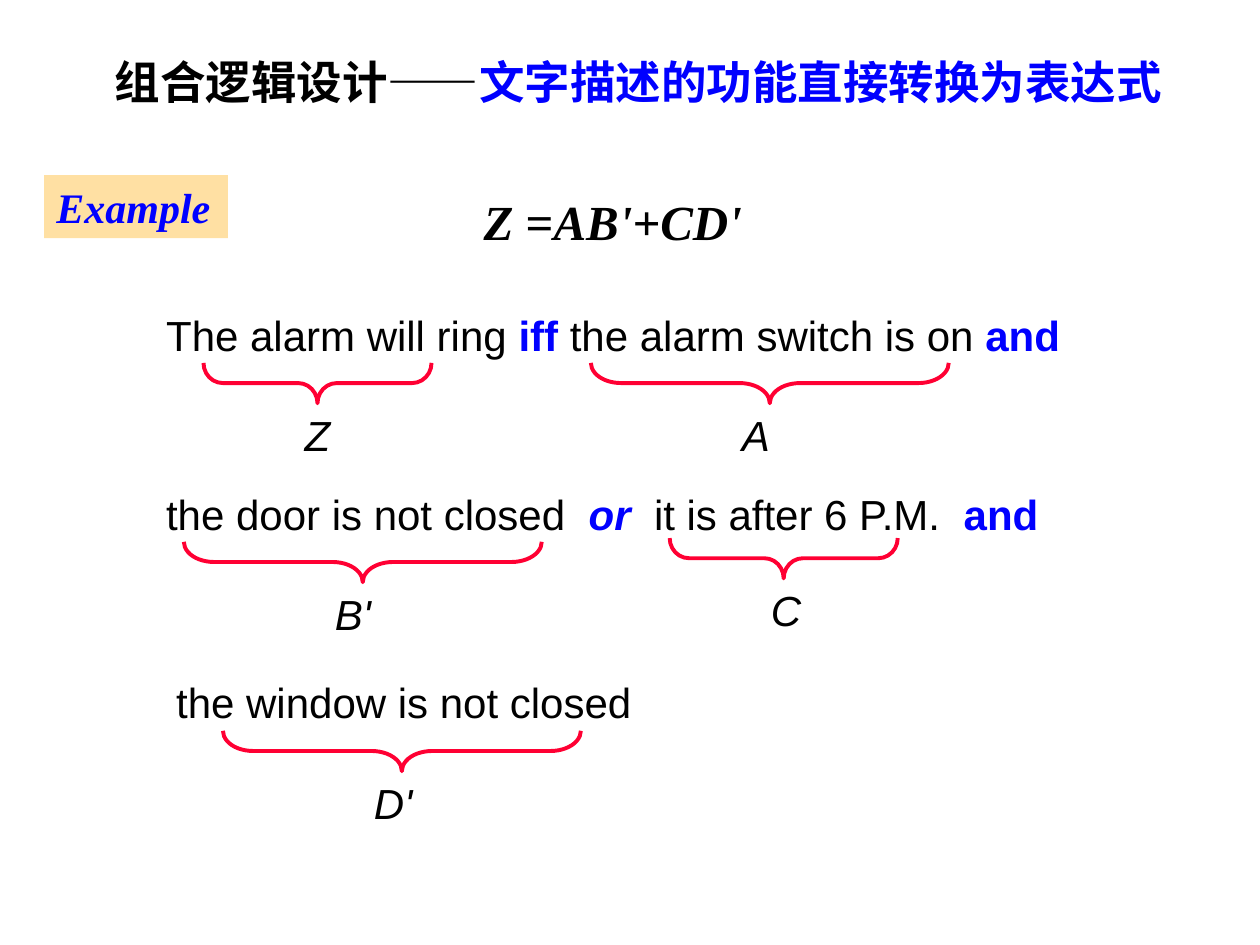
from pptx import Presentation
from pptx.dml.color import RGBColor
from pptx.enum import shapes, text
from pptx.util import Inches, Pt

BLACK, BLUE, RED, SAND = "000000", "0000FF", "FF0033", "FFE0A3"


def rgb(value):
    return RGBColor.from_string(value)


def write(sp, runs, size=24, font="Arial", bold=False, italic=False):
    tf = sp.text_frame
    tf.word_wrap = True
    tf.auto_size = text.MSO_AUTO_SIZE.NONE
    tf.vertical_anchor = text.MSO_ANCHOR.TOP
    p = tf.paragraphs[0]
    p.alignment = text.PP_ALIGN.LEFT
    p.font.name, p.font.size = font, Pt(size)
    for words, color, style in runs:
        r = p.add_run()
        r.text = words
        r.font.color.rgb = rgb(color)
        r.font.bold = bold or "b" in style
        r.font.italic = (italic or "i" in style) and "u" not in style


prs = Presentation()
prs.slide_width, prs.slide_height = Inches(10), Inches(7.5)
s = prs.slides.add_slide(prs.slide_layouts[5])

title = s.shapes.title
title.left, title.top = Inches(0.81), Inches(0.38)
title.width, title.height = Inches(9.46), Inches(0.54)
write(title, [("组合逻辑设计——", BLACK, ""),
              ("文字描述的功能直接转换为表达式", BLUE, "")], size=26, bold=True)

example = s.shapes.add_shape(shapes.MSO_SHAPE.RECTANGLE, Inches(0.35), Inches(1.39),
                             Inches(1.46), Inches(0.5))
example.shadow.inherit = False
example.fill.solid()
example.fill.fore_color.rgb = rgb(SAND)
example.line.fill.background()
write(example, [("Example", BLUE, "")], font="Times New Roman", bold=True, italic=True)

formula = s.shapes.add_textbox(Inches(3.74), Inches(1.47), Inches(2.6), Inches(0.57))
write(formula, [("Z ", BLACK, ""), ("=", BLACK, "u"), ("AB'+CD'", BLACK, "")],
      size=28, font="Times New Roman", bold=True, italic=True)

sentences = [
    (1.22, 2.41, 8.35, [("The alarm will ring ", BLACK, ""), ("iff ", BLUE, "b"),
                        ("the alarm switch is on ", BLACK, ""), ("and", BLUE, "b")]),
    (1.22, 3.83, 7.8, [("the door is not closed  ", BLACK, ""), ("or  ", BLUE, "bi"),
                       ("it is after 6 P.M.  ", BLACK, ""), ("and", BLUE, "b")]),
    (1.3, 5.32, 3.94, [("the window is not closed", BLACK, "")]),
]
for left, top, width, runs in sentences:
    sp = s.shapes.add_textbox(Inches(left), Inches(top), Inches(width), Inches(0.5))
    write(sp, runs)

depth, short, long = 0.32, 1.81, 2.84
variables = [
    ("Z", 2.52, 3.04, short, 2.32, 0.47),
    ("A", 6.11, 3.04, long, 5.79, 0.47),
    ("B'", 2.88, 4.46, long, 2.56, 0.63),
    ("C", 6.22, 4.43, short, 6.02, 0.47),
    ("D'", 3.19, 5.96, long, 2.87, 0.63),
]
for name, center_x, center_y, span, label_left, label_width in variables:
    brace = s.shapes.add_shape(shapes.MSO_SHAPE.LEFT_BRACE, Inches(center_x - depth / 2),
                               Inches(center_y - span / 2), Inches(depth), Inches(span))
    brace.rotation = 270
    brace.adjustments[0] = 0.48 if span == short else 0.75
    brace.shadow.inherit = False
    brace.fill.background()
    brace.line.color.rgb = rgb(RED)
    brace.line.width = Pt(2.25)
    label = s.shapes.add_textbox(Inches(label_left), Inches(center_y + depth / 2),
                                 Inches(label_width), Inches(0.5))
    write(label, [(name, BLACK, "")], italic=True)

prs.save("out.pptx")
